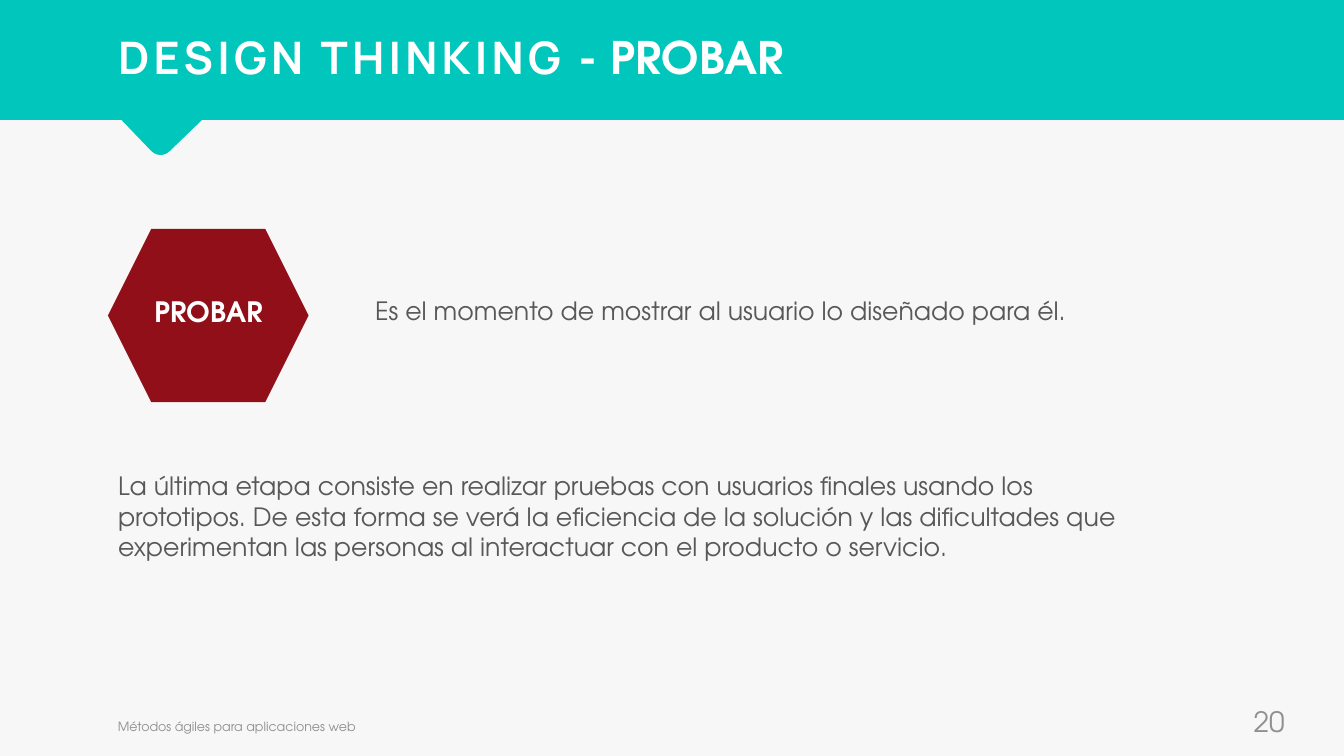
from pptx import Presentation
from pptx.dml.color import RGBColor
from pptx.enum.shapes import MSO_SHAPE
from pptx.enum.text import MSO_ANCHOR, MSO_AUTO_SIZE, PP_ALIGN
from pptx.oxml.ns import qn
from pptx.util import Inches, Pt

COLORS = {"paper": "F7F7F7", "teal": "00C6BB", "red": "900F18",
          "white": "FFFFFF", "body": "585858", "muted": "909090"}
FONT = "TeX Gyre Adventor"

deck = Presentation()
deck.slide_width, deck.slide_height = Inches(13.33), Inches(7.5)
COLUMN, ROW = deck.slide_width / 100, deck.slide_height / 100
MARGIN = 8.03  # left edge shared by most parts, in columns


def area(left, top, width, height):
    """Turn columns and rows (hundredths of the slide) into lengths."""
    return [int(n) for n in (left * COLUMN, top * ROW, width * COLUMN, height * ROW)]


def write(box, text, size, color, bold=False, align=PP_ALIGN.LEFT, anchor=MSO_ANCHOR.TOP):
    """Fill a box with one formatted paragraph and return it."""
    frame = box.text_frame
    frame.text = text
    frame.word_wrap = True
    frame.auto_size = MSO_AUTO_SIZE.NONE
    frame.vertical_anchor = anchor
    para = frame.paragraphs[0]
    para.alignment = align
    para.space_before = Pt(0)
    for span in para.runs:
        span.font.name, span.font.size, span.font.bold = FONT, Pt(size), bold
        span.font.color.rgb = RGBColor.from_string(COLORS[color])
    return para


page = deck.slides.add_slide(deck.slide_layouts.get_by_name("Two Content"))
page.background.fill.solid()
page.background.fill.fore_color.rgb = RGBColor.from_string(COLORS["paper"])
title, statement, detail = page.placeholders

# Header band with its pointer, and the stage hexagon
for preset, place, color, turn in [
    (MSO_SHAPE.RECTANGLE, (0, 0, 100, 15.87), "teal", 0),
    (MSO_SHAPE.ROUNDED_RECTANGLE, (8.63, 6.67, 9.6, 10), "teal", 316.1),
    (MSO_SHAPE.HEXAGON, (MARGIN, 30.27, 14.93, 22.93), "red", 0),
]:
    shape = page.shapes.add_shape(preset, *area(*place))
    shape.rotation = turn
    shape.shadow.inherit = False
    shape.fill.solid()
    shape.fill.fore_color.rgb = RGBColor.from_string(COLORS[color])
    shape.line.fill.background()

# Title, brought in front of the band
shape.element.addnext(title.element)
title.left, title.top, title.width, title.height = area(MARGIN, 3.2, 84.92, 8.53)
para = write(title, "DESIGN THINKING ", 32, "white", bold=True)
topic = para.runs[0]
topic.font.name = "Manrope"
topic.font._element.set("spc", "300")
stage = para.add_run()
stage.text = "- PROBAR"
stage.font.name, stage.font.size, stage.font.bold = FONT, Pt(32), True
stage.font.color.rgb = RGBColor.from_string(COLORS["white"])

# Body texts, without bullets
for box, place, text in [
    (statement, (27.16, 38.4, 64.8, 5.33),
     "Es el momento de mostrar al usuario lo diseñado para él."),
    (detail, (MARGIN, 61.6, 79.6, 13.47),
     "La última etapa consiste en realizar pruebas con usuarios finales usando los "
     "prototipos. De esta forma se verá la eficiencia de la solución y las dificultades "
     "que experimentan las personas al interactuar con el producto o servicio."),
]:
    box.left, box.top, box.width, box.height = area(*place)
    para = write(box, text, 18, "body")
    properties = para._p.get_or_add_pPr()
    properties.set("marL", "0")
    properties.set("indent", "0")
    properties.append(properties.makeelement(qn("a:buNone"), {}))

# Hexagon label, footer and page number
label = page.shapes.add_textbox(*area(9.15, 38.27, 12.75, 5.87))
write(label, "PROBAR", 20, "white", bold=True, align=PP_ALIGN.CENTER)
footer = page.shapes.add_textbox(*area(MARGIN, 92.4, 70.9, 5.33))
write(footer, "Métodos ágiles para aplicaciones web", 9, "muted", anchor=MSO_ANCHOR.BOTTOM)
number = page.shapes.add_textbox(*area(87.62, 89.47, 8.7, 8.27))
write(number, "20", 20, "muted", align=PP_ALIGN.RIGHT, anchor=MSO_ANCHOR.BOTTOM)
number.text_frame.margin_bottom = Inches(0.01)

deck.save("out.pptx")
